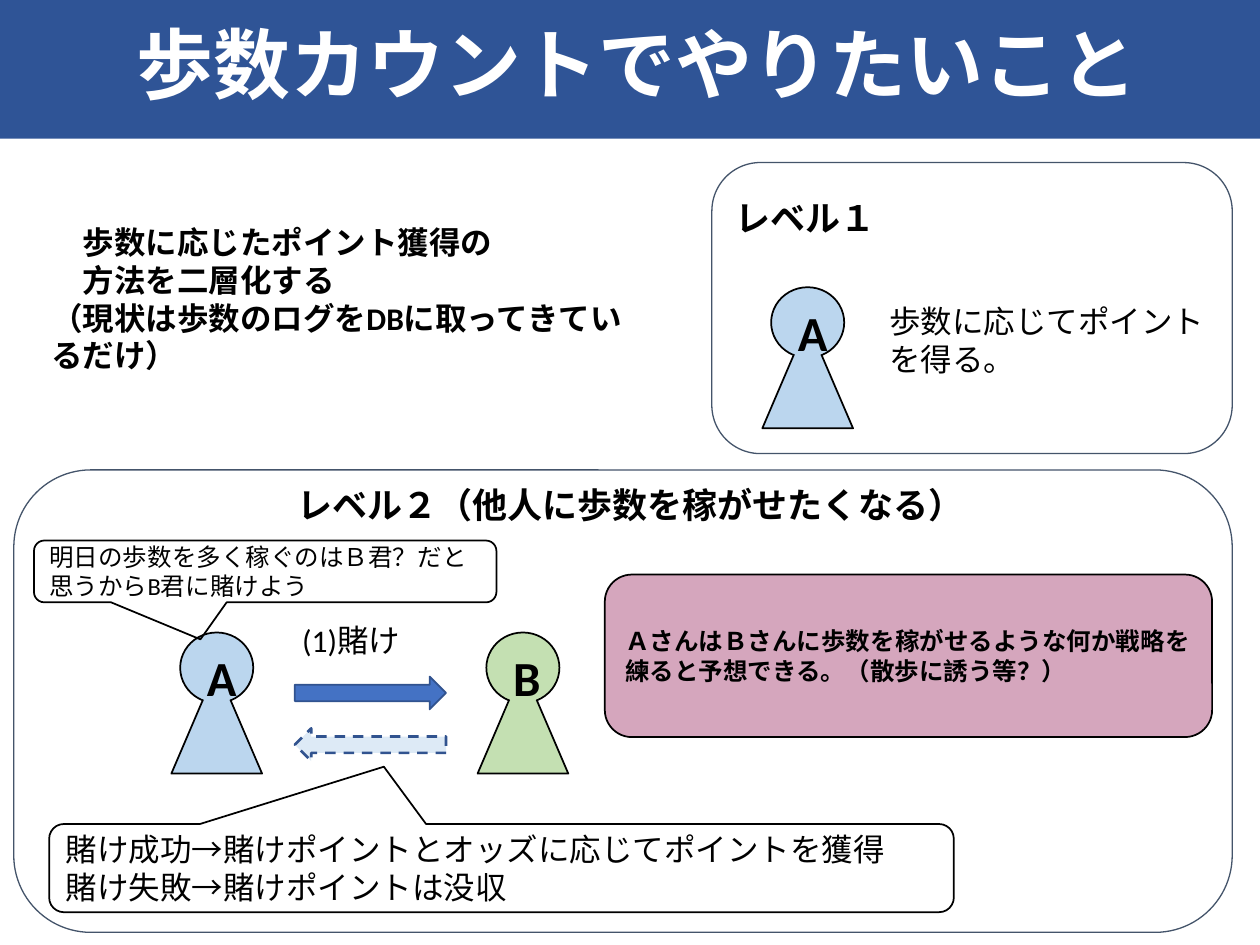
import pptx
import pptx.util
import pptx.dml.color
import pptx.enum.dml
import pptx.enum.shapes
import pptx.enum.text

Inches = pptx.util.Inches
Shape = pptx.enum.shapes.MSO_SHAPE
Anchor = pptx.enum.text.MSO_ANCHOR
Align = pptx.enum.text.PP_ALIGN

THEME = {
    "font": "Calibri", "strategy_font": "Arial",
    "title": 44, "heading": 20, "body": 18, "small": 14, "letter": 28,
    "banner": "2F5496", "white": "FFFFFF", "black": "000000",
    "frame": "44546A", "blue": "BBD6EE", "green": "C4E0B2", "pink": "D5A6BD",
    "bet": "4472C4", "payout": "DDEAF6", "arrow_line": "31538F",
}

TITLE = "歩数カウントでやりたいこと"
FRAMES = [(5.65, 1.29, 4.13, 2.31), (0.11, 3.73, 9.67, 3.67)]
LABELS = [
    (["レベル１"], (5.74, 1.51, 1.46, 0.44), "heading", True),
    (["歩数に応じてポイントを得る。"], (6.96, 2.35, 2.72, 0.71), "body", False),
    (["レベル２（他人に歩数を稼がせたくなる）"], (2.26, 3.79, 6.15, 0.44), "heading", True),
    (["(1)賭け"], (2.3, 4.88, 1.24, 0.4), "body", False),
]
INTRO = ["　歩数に応じたポイント獲得の", "　方法を二層化する",
         "（現状は歩数のログをDBに取ってきているだけ）"]
PEOPLE = [("A", 6.05, 2.28, "blue"), ("B", 3.79, 5.02, "green"), ("A", 1.36, 5.02, "blue")]
ARROWS = [(5.37, 0, "bet", 1), (5.78, 180, "payout", 1.5)]
CALLOUTS = [
    (["明日の歩数を多く稼ぐのはＢ君？だと思うからB君に賭けよう"],
     (0.27, 4.29, 3.67, 0.49), "small", (-0.14, 1.1)),
    (["賭け成功→賭けポイントとオッズに応じてポイントを獲得", "賭け失敗→賭けポイントは没収"],
     (0.39, 6.54, 7.18, 0.7), "body", (-0.13, -1.15)),
]
STRATEGY = ["ＡさんはＢさんに歩数を稼がせるような何か戦略を練ると予想できる。（散歩に誘う等？）"]


def color(name):
    return pptx.dml.color.RGBColor.from_string(THEME[name])


def write(part, lines, size, bold=False, ink="black", font="font", align=Align.LEFT,
          anchor=Anchor.MIDDLE, margins=(0.1, 0.05)):
    frame = part.text_frame
    frame.word_wrap = True
    frame.vertical_anchor = anchor
    frame.margin_left = frame.margin_right = Inches(margins[0])
    frame.margin_top = frame.margin_bottom = Inches(margins[1])
    frame.text = "\n".join(lines)
    for paragraph in frame.paragraphs:
        paragraph.alignment = align
        paragraph.line_spacing = 1.0
        paragraph.font.name = THEME[font]
        paragraph.font.size = pptx.util.Pt(THEME[size])
        paragraph.font.bold = bold
        paragraph.font.color.rgb = color(ink)


def draw(shapes, kind, box, fill=None, line="black", width=1):
    part = shapes.add_shape(kind, *map(Inches, box))
    part.shadow.inherit = False
    if fill:
        part.fill.solid()
        part.fill.fore_color.rgb = color(fill)
    else:
        part.fill.background()
    if line:
        part.line.color.rgb = color(line)
        part.line.width = pptx.util.Pt(width)
    else:
        part.line.fill.background()
    return part


def label(shapes, lines, box, size, bold, margins=(0.1, 0.05)):
    text = shapes.add_textbox(*map(Inches, box))
    write(text, lines, size, bold, anchor=Anchor.TOP, margins=margins)


def person(slide, letter, left, top, fill):
    figure = slide.shapes.add_group_shape().shapes
    draw(figure, Shape.OVAL, (left + 0.07, top, 0.58, 0.56), fill)
    draw(figure, Shape.ISOSCELES_TRIANGLE, (left, top + 0.28, 0.72, 0.84), fill)
    face = draw(figure, Shape.OVAL, (left + 0.15, top + 0.15, 0.42, 0.41), fill, None)
    write(face, [letter], "letter", True, align=Align.CENTER, margins=(0.07, 0.04))


def main():
    deck = pptx.Presentation()
    deck.slide_width, deck.slide_height = Inches(10), Inches(7.5)
    slide = deck.slides.add_slide(deck.slide_layouts[5])
    shapes = slide.shapes

    banner = shapes.title
    banner.left, banner.top, banner.width, banner.height = map(Inches, (-0.45, -0.11, 11.02, 1.21))
    banner.fill.solid()
    banner.fill.fore_color.rgb = color("banner")
    write(banner, [TITLE], "title", True, "white", align=Align.CENTER)

    for box in FRAMES:
        draw(shapes, Shape.ROUNDED_RECTANGLE, box, line="frame", width=0.75)
    for top, rotation, fill, width in ARROWS:
        arrow = draw(shapes, Shape.RIGHT_ARROW, (2.34, top, 1.2, 0.26), fill, "arrow_line", width)
        arrow.rotation = rotation
        if rotation:
            arrow.line.dash_style = pptx.enum.dml.MSO_LINE.DASH
    for letter, left, top, fill in PEOPLE:
        person(slide, letter, left, top, fill)
    for lines, box, size, bold in LABELS:
        label(shapes, lines, box, size, bold)
    for lines, box, size, tip in CALLOUTS:
        callout = draw(shapes, Shape.ROUNDED_RECTANGULAR_CALLOUT, box)
        callout.adjustments[0], callout.adjustments[1] = tip
        write(callout, lines, size)

    strategy = draw(shapes, Shape.ROUNDED_RECTANGLE, (4.8, 4.56, 4.82, 1.29), "pink")
    write(strategy, STRATEGY, "small", True, font="strategy_font", margins=(0.1, 0.1))
    label(shapes, INTRO, (0.31, 1.67, 4.88, 1.41), "body", True, (0.1, 0.1))
    deck.save("out.pptx")


if __name__ == "__main__":
    main()
